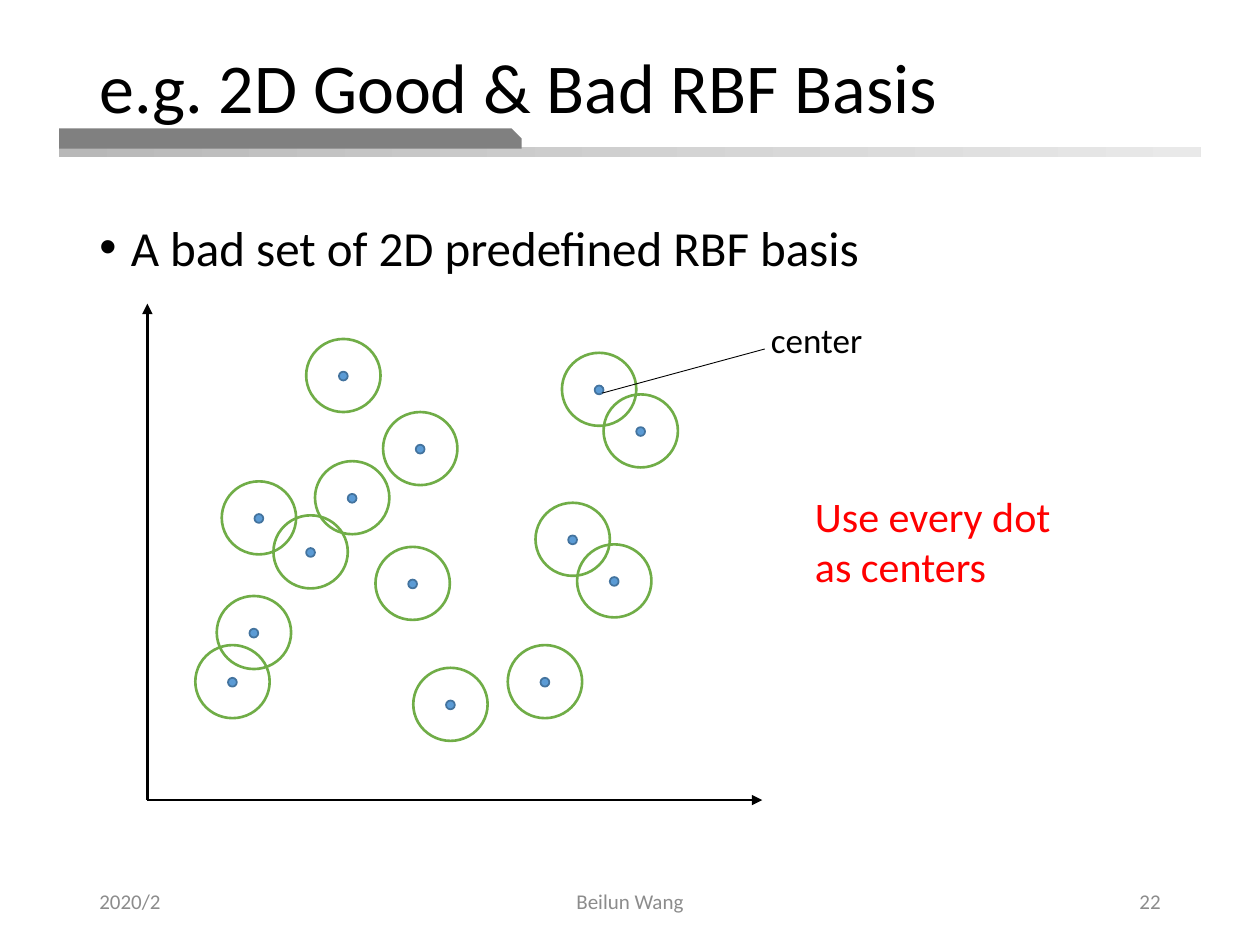
from lxml.etree import SubElement as Sub
from pptx import Presentation
from pptx.dml.color import RGBColor
from pptx.enum.shapes import MSO_CONNECTOR as Link, MSO_SHAPE as Kind
from pptx.enum.text import MSO_ANCHOR as Anchor, PP_ALIGN as Align
from pptx.oxml.ns import qn
from pptx.util import Inches, Pt

DOTS = [
    (1.81, 5.38), (2.76, 3.92), (3.3, 3.53), (4.51, 4.25), (4.72, 3.06),
    (4.29, 5.38), (4.84, 4.58), (3.54, 5.56), (2.02, 4.08), (5.05, 3.39),
    (3.24, 4.6), (2.69, 2.95), (1.98, 4.99), (2.43, 4.35),
]


def color(code):
    """Turn a hex string into a colour."""
    return RGBColor.from_string(code)


def text(slide, words, box, size, ink="000000", align=Align.LEFT,
         anchor=Anchor.TOP, space=None, bullet=None, wrap=True):
    """Add a text box holding one paragraph."""
    frame = slide.shapes.add_textbox(*map(Inches, box)).text_frame
    frame.word_wrap = wrap
    frame.vertical_anchor = anchor
    para = frame.paragraphs[0]
    para.text = words
    para.alignment = align
    if space:
        para.line_spacing = space
    if bullet:
        props = para._p.get_or_add_pPr()
        props.set("marL", str(Inches(0.25)))
        props.set("indent", str(Inches(-0.25)))
        Sub(props, qn("a:buFont"), typeface="Arial")
        Sub(props, qn("a:buChar"), char=bullet)
    font = para.runs[0].font
    font.name, font.size = "Calibri", Pt(size)
    font.color.rgb = color(ink)


def shape(slide, kind, box, fill=None, line=None, width=1):
    """Add a preset shape with optional fill and outline."""
    item = slide.shapes.add_shape(kind, *map(Inches, box))
    item.shadow.inherit = False
    if fill:
        item.fill.solid()
        item.fill.fore_color.rgb = color(fill)
    else:
        item.fill.background()
    if line:
        item.line.color.rgb = color(line)
        item.line.width = Pt(width)
    else:
        item.line.fill.background()
    return item


def line(slide, start, end, width, arrow=False):
    """Add a straight black line, with an arrowhead if asked."""
    item = slide.shapes.add_connector(
        Link.STRAIGHT, *map(Inches, start + end))
    item.line.color.rgb = color("000000")
    item.line.width = Pt(width)
    if arrow:
        Sub(item.line._get_or_add_ln(), qn("a:tailEnd"), type="triangle")
    Sub(item._element.spPr, qn("a:effectLst"))


def banner(slide):
    """Draw the bars below the title."""
    strip = shape(slide, Kind.RECTANGLE, (0.47, 1.17, 9.06, 0.08))
    strip.fill.gradient()
    strip.fill.gradient_angle = 0
    for stop, code in zip(strip.fill.gradient_stops, ("B8B8B8", "E9E9E9")):
        stop.color.rgb = color(code)
    tab = shape(slide, Kind.SNIP_1_RECTANGLE, (0.47, 1.02, 3.67, 0.16),
                "808080")
    tab.adjustments[0] = 0.5


def plot(slide):
    """Draw the axes and every dot with its ring."""
    for end in ((6.05, 6.35), (1.17, 2.41)):
        line(slide, (1.17, 6.35), end, 1.5, arrow=True)
    for x, y in DOTS:
        shape(slide, Kind.OVAL, (x, y, 0.07, 0.07), "5B9BD5", "43739E")
        shape(slide, Kind.OVAL, (x - 0.26, y - 0.26, 0.59, 0.58),
              line="70AD47", width=1.5)
    line(slide, (4.78, 3.12), (6.07, 2.77), 0.5)
    text(slide, "center", (6.02, 2.48, 0.94, 0.44), 20, wrap=False)


def footer(slide):
    """Write the date, author and page number."""
    for words, left, width, align in (
            ("2020/2", 0.69, 2.25, Align.LEFT),
            ("Beilun Wang", 3.31, 3.38, Align.CENTER),
            ("22", 7.06, 2.25, Align.RIGHT)):
        text(slide, words, (left, 6.95, width, 0.4), 12, "8C8C8C", align,
             Anchor.MIDDLE)


def main():
    """Build and save the slide."""
    deck = Presentation()
    deck.slide_width, deck.slide_height = Inches(10), Inches(7.5)
    slide = deck.slides.add_slide(deck.slide_layouts[6])
    banner(slide)
    text(slide, "e.g. 2D Good & Bad RBF Basis", (0.69, 0.4, 8.38, 0.64), 40,
         anchor=Anchor.MIDDLE, space=0.9)
    text(slide, "A bad set of 2D predefined RBF basis",
         (0.69, 1.77, 8.62, 4.99), 28, space=0.8, bullet="•")
    footer(slide)
    text(slide, "Use every dot as centers", (6.37, 3.84, 2.36, 0.91), 24,
         "FF0000")
    plot(slide)
    deck.save("out.pptx")


if __name__ == "__main__":
    main()
